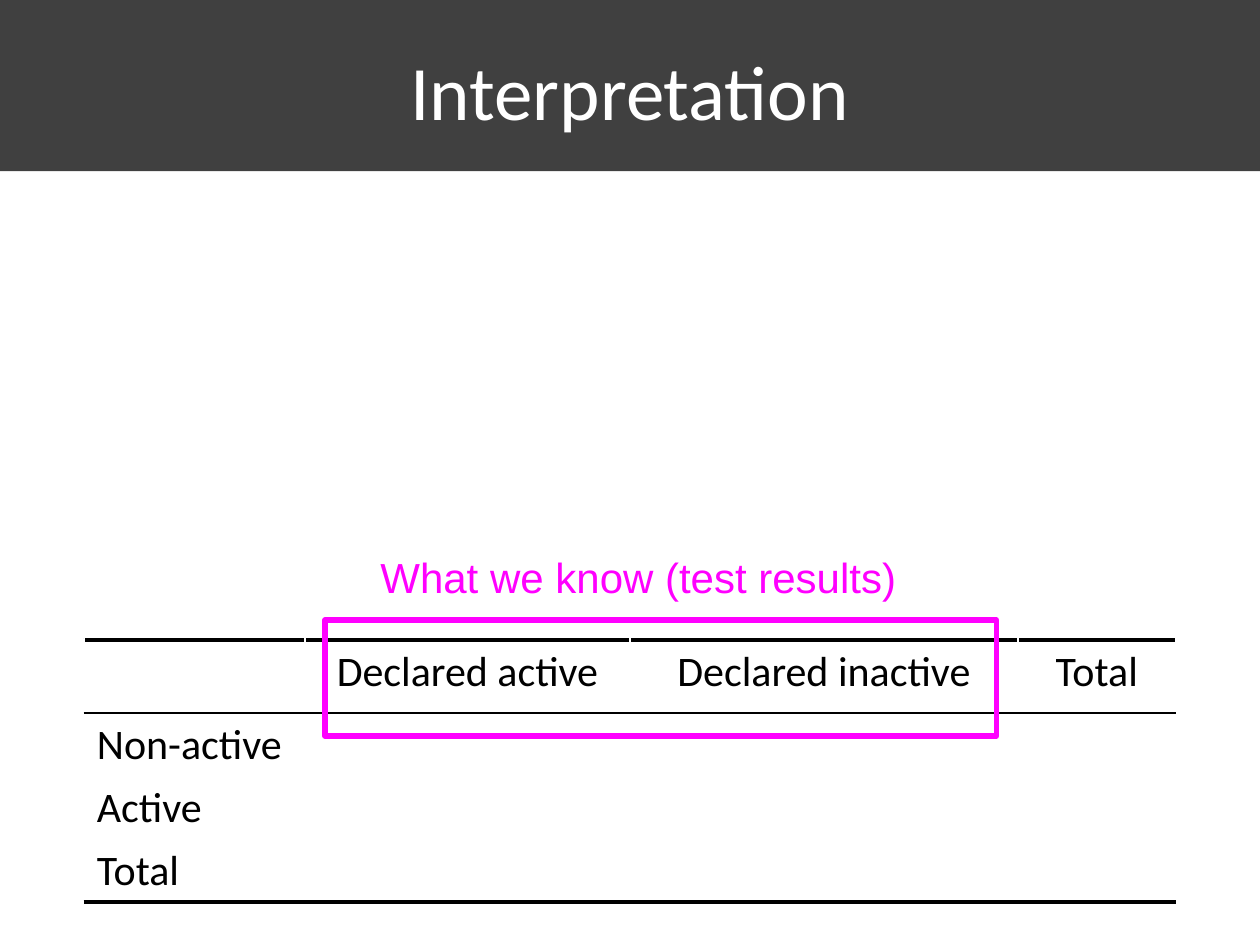
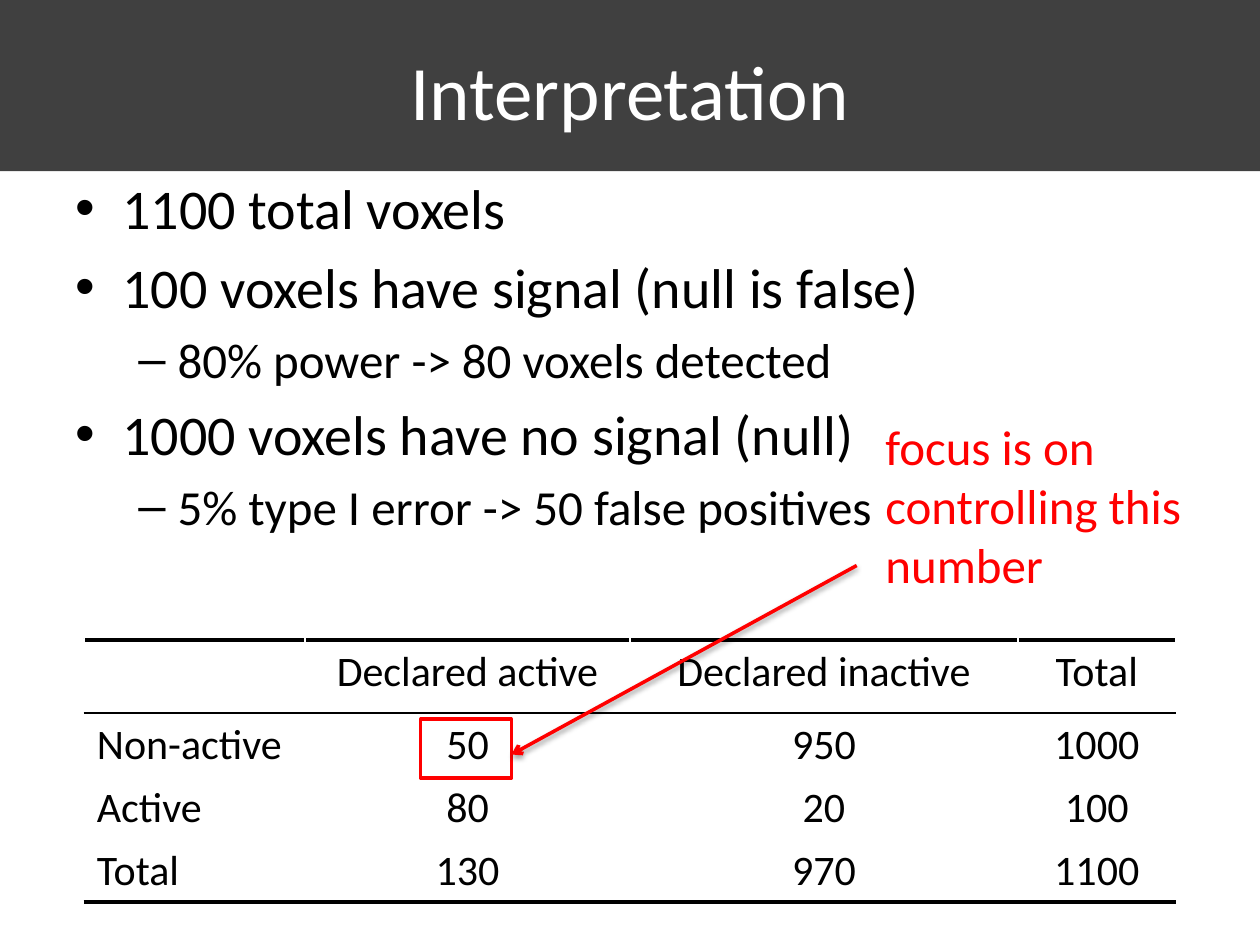
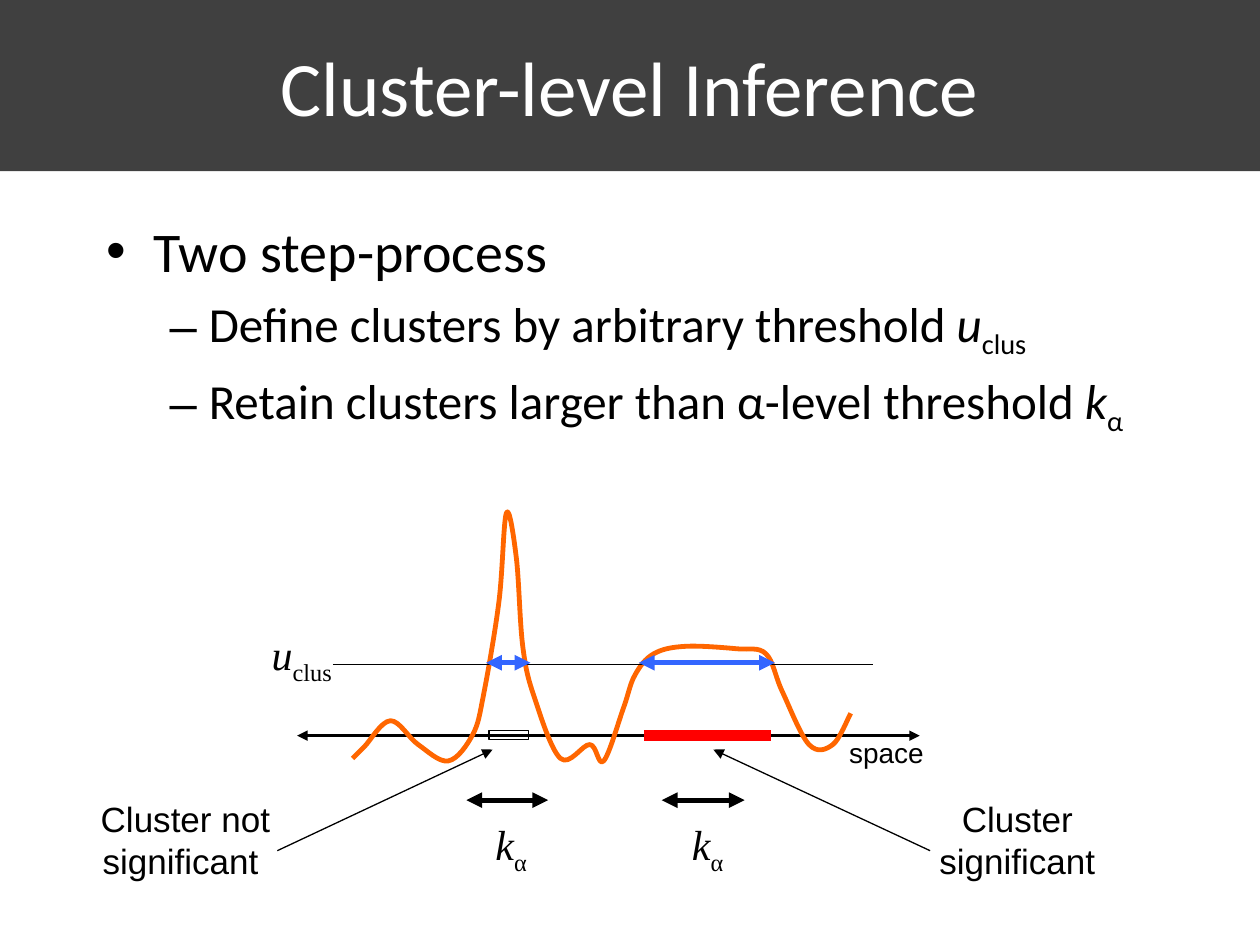
"""Build three slides on voxel test interpretation and cluster-level inference."""
from dataclasses import dataclass
from typing import Any, NamedTuple, Optional

import lxml.etree
import pptx
import pptx.dml.color
import pptx.enum.shapes
import pptx.enum.text
import pptx.oxml.ns
import pptx.util

Cm = pptx.util.Cm
Pt = pptx.util.Pt
RGB = pptx.dml.color.RGBColor
ALIGN = pptx.enum.text.PP_ALIGN
ANCHOR = pptx.enum.text.MSO_ANCHOR
SHAPE = pptx.enum.shapes.MSO_SHAPE
STRAIGHT = pptx.enum.shapes.MSO_CONNECTOR.STRAIGHT


@dataclass(frozen=True)
class Theme:
    band: RGB = RGB.from_string("404040")
    white: RGB = RGB.from_string("FFFFFF")
    black: RGB = RGB.from_string("000000")
    red: RGB = RGB.from_string("FF0000")
    magenta: RGB = RGB.from_string("FF00FF")
    blue: RGB = RGB.from_string("3366FF")
    orange: RGB = RGB.from_string("FF6600")
    body_font: str = "Calibri"
    label_font: str = "Arial"
    math_font: str = "Times New Roman"
    title_size: float = 44
    bullet_size: float = 32
    dash_size: float = 28
    table_size: float = 24
    label_size: float = 20
    axis_size: float = 16


THEME = Theme()


class Box(NamedTuple):
    left: float
    top: float
    width: float
    height: float


class Style(NamedTuple):
    font: str
    size: float
    color: RGB = THEME.black


class Piece(NamedTuple):
    text: str
    italic: bool = False
    subscript: bool = False


class Level(NamedTuple):
    mark: str
    margin: float
    hang: float
    size: float


class Item(NamedTuple):
    level: Level
    pieces: tuple[Piece, ...]


class Label(NamedTuple):
    box: Box
    pieces: tuple[Piece, ...]
    style: Style
    align: Any = ALIGN.LEFT
    anchor: Any = ANCHOR.TOP


class Line(NamedTuple):
    start: tuple[float, float]
    end: tuple[float, float]
    width: float
    color: RGB = THEME.black
    head: Optional[str] = None
    tail: Optional[str] = None
    shadow: bool = False


class Frame(NamedTuple):
    box: Box
    width: float
    color: RGB


class Rule(NamedTuple):
    color: RGB
    width: float


BULLET = Level("•", 0.95, 0.95, THEME.bullet_size)
DASH = Level("–", 2.06, 0.79, THEME.dash_size)

TABLE_BOX = Box(1.7, 12.9, 22, 5.13)
COLUMN_WIDTHS = (4.45, 6.55, 7.82, 3.18)
ROW_HEIGHTS = (1.47, 1.22, 1.22, 1.22)
COLUMN_HEADS = ("", "Declared active", "Declared inactive", "Total")
ROW_HEADS = ("Non-active", "Active", "Total")
NO_COUNTS = (("", "", ""),) * 3
VOXEL_COUNTS = (("50", "950", "1000"), ("80", "20", "100"), ("130", "970", "1100"))
GRID = Rule(THEME.white, 1)
HEAVY = Rule(THEME.black, 3)
ROW_RULES = (HEAVY, Rule(THEME.black, 1), GRID, GRID, HEAVY)

SIGNAL = (
    (7.11, 15.29), (7.34, 15.06), (7.87, 14.53), (8.43, 15.01), (9.04, 15.34),
    (9.53, 14.81), (9.75, 14), (10.06, 12.12), (10.21, 10.34), (10.41, 11.25),
    (10.54, 13.03), (10.77, 14.05), (11.3, 15.29), (11.89, 15.01), (12.17, 15.34),
    (12.57, 14.27), (12.8, 13.61), (13.18, 13.18), (13.82, 13.03), (14.86, 13.08),
    (15.44, 13.18), (15.77, 13.94), (16.31, 15.01), (16.79, 15.01), (17.15, 14.38),
)


def child(parent: Any, tag: str, **attributes: Any) -> Any:
    values = {key: str(value) for key, value in attributes.items()}
    return lxml.etree.SubElement(parent, pptx.oxml.ns.qn(tag), values)


def place(box: Box) -> tuple[Any, ...]:
    return tuple(Cm(length) for length in box)


def style_run(run: Any, style: Style) -> None:
    run.font.name = style.font
    run.font.size = Pt(style.size)
    run.font.color.rgb = style.color


def write_pieces(paragraph: Any, pieces: tuple[Piece, ...], style: Style) -> None:
    for piece in pieces:
        run = paragraph.add_run()
        run.text = piece.text
        style_run(run, style)
        run.font.italic = piece.italic
        if piece.subscript:
            run.font._element.set("baseline", "-25000")


def draw_label(slide: Any, label: Label) -> None:
    frame = slide.shapes.add_textbox(*place(label.box)).text_frame
    frame.word_wrap = True
    frame.vertical_anchor = label.anchor
    frame.paragraphs[0].alignment = label.align
    write_pieces(frame.paragraphs[0], label.pieces, label.style)


def draw_items(slide: Any, box: Box, items: tuple[Item, ...]) -> None:
    frame = slide.shapes.add_textbox(*place(box)).text_frame
    frame.word_wrap = True
    for index, (level, pieces) in enumerate(items):
        paragraph = frame.add_paragraph() if index else frame.paragraphs[0]
        write_pieces(paragraph, pieces, Style(THEME.body_font, level.size))
        layout = paragraph._p.get_or_add_pPr()
        layout.set("marL", str(Cm(level.margin)))
        layout.set("indent", str(-Cm(level.hang)))
        child(child(layout, "a:spcBef"), "a:spcPct", val=20000)
        child(layout, "a:buFont", typeface=THEME.label_font)
        child(layout, "a:buChar", char=level.mark)


def draw_frame(slide: Any, frame: Frame) -> None:
    outline = slide.shapes.add_shape(SHAPE.RECTANGLE, *place(frame.box))
    outline.shadow.inherit = False
    outline.fill.background()
    outline.line.color.rgb = frame.color
    outline.line.width = Pt(frame.width)


def draw_line(slide: Any, line: Line) -> None:
    ends = (Cm(length) for length in line.start + line.end)
    connector = slide.shapes.add_connector(STRAIGHT, *ends)
    connector.line.color.rgb = line.color
    connector.line.width = Pt(line.width)
    properties = connector._element.spPr
    stroke = properties.find(pptx.oxml.ns.qn("a:ln"))
    for tag, arrow in (("a:headEnd", line.head), ("a:tailEnd", line.tail)):
        if arrow:
            child(stroke, tag, type=arrow)
    effects = child(properties, "a:effectLst")
    if line.shadow:
        cast = child(effects, "a:outerShdw", blurRad=Pt(3.1), dist=Pt(1.6), dir=5400000, rotWithShape=0)
        child(child(cast, "a:srgbClr", val=THEME.black), "a:alpha", val=38000)


def draw_curve(slide: Any, knots: tuple[tuple[float, float], ...], color: RGB, width: float) -> None:
    points = [(Cm(x), Cm(y)) for x, y in knots]
    builder = slide.shapes.build_freeform(*points[0])
    builder.add_line_segments(points[1:], close=False)
    curve = builder.convert_to_shape()
    curve.shadow.inherit = False
    curve.fill.background()
    curve.line.color.rgb = color
    curve.line.width = Pt(width)
    local = [(int(point.get("x")), int(point.get("y"))) for point in curve._element.xpath(".//a:pt")]
    padded = [local[0], *local, local[-1]]
    segments = curve._element.xpath(".//a:lnTo")
    for segment, before, start, end, after in zip(segments, padded, padded[1:], padded[2:], padded[3:]):
        bend = lxml.etree.Element(pptx.oxml.ns.qn("a:cubicBezTo"))
        leave = [s + (e - b) // 6 for b, s, e in zip(before, start, end)]
        arrive = [e - (a - s) // 6 for s, e, a in zip(start, end, after)]
        for x, y in (leave, arrive, end):
            child(bend, "a:pt", x=x, y=y)
        segment.getparent().replace(segment, bend)


def draw_cell(cell: Any, text: str, align: Any, above: Rule, below: Rule) -> None:
    cell.text_frame.text = text
    paragraph = cell.text_frame.paragraphs[0]
    paragraph.alignment = align
    for run in paragraph.runs:
        style_run(run, Style(THEME.body_font, THEME.table_size))
    properties = cell._tc.get_or_add_tcPr()
    for side, rule in (("L", GRID), ("R", GRID), ("T", above), ("B", below)):
        border = child(properties, f"a:ln{side}", w=Pt(rule.width))
        child(child(border, "a:solidFill"), "a:srgbClr", val=rule.color)
    cell.fill.solid()
    cell.fill.fore_color.rgb = THEME.white


def draw_outcomes(slide: Any, counts: tuple[tuple[str, ...], ...]) -> None:
    rows = (COLUMN_HEADS, *((head, *values) for head, values in zip(ROW_HEADS, counts)))
    table = slide.shapes.add_table(len(rows), len(COLUMN_HEADS), *place(TABLE_BOX)).table
    table.first_row = False
    table.horz_banding = False
    for column, width in zip(table.columns, COLUMN_WIDTHS):
        column.width = Cm(width)
    for r, (texts, height) in enumerate(zip(rows, ROW_HEIGHTS)):
        table.rows[r].height = Cm(height)
        for c, text in enumerate(texts):
            align = ALIGN.CENTER if c else ALIGN.LEFT
            draw_cell(table.cell(r, c), text, align, ROW_RULES[r], ROW_RULES[r + 1])


def add_slide(deck: Any, title: str, top: float = 0.76, anchor: Any = ANCHOR.TOP) -> Any:
    slide = deck.slides.add_slide(deck.slide_layouts[6])
    band = slide.shapes.add_shape(SHAPE.RECTANGLE, *place(Box(0, 0, 25.4, 3.45)))
    band.shadow.inherit = False
    band.fill.solid()
    band.fill.fore_color.rgb = THEME.band
    band.line.fill.background()
    style = Style(THEME.body_font, THEME.title_size, THEME.white)
    draw_label(slide, Label(Box(1.27, top, 22.86, 3.18), (Piece(title),), style, ALIGN.CENTER, anchor))
    return slide


def build_known(deck: Any) -> None:
    slide = add_slide(deck, "Interpretation")
    draw_outcomes(slide, NO_COUNTS)
    draw_frame(slide, Frame(Box(6.55, 12.5, 13.54, 2.34), 3, THEME.magenta))
    style = Style(THEME.label_font, THEME.table_size, THEME.magenta)
    draw_label(slide, Label(Box(7.42, 11, 12.27, 1.3), (Piece("What we know (test results)"),), style))


def build_counts(deck: Any) -> None:
    slide = add_slide(deck, "Interpretation")
    draw_items(slide, Box(1.27, 3.38, 22.86, 12.57), (
        Item(BULLET, (Piece("1100 total voxels"),)),
        Item(BULLET, (Piece("100 voxels have signal (null is false)"),)),
        Item(DASH, (Piece("80% power -> 80 voxels detected"),)),
        Item(BULLET, (Piece("1000 voxels have no signal (null)"),)),
        Item(DASH, (Piece("5% type I error -> 50 false positives"),)),
    ))
    draw_outcomes(slide, VOXEL_COUNTS)
    draw_frame(slide, Frame(Box(8.48, 14.5, 1.83, 1.19), 2, THEME.red))
    style = Style(THEME.body_font, THEME.dash_size, THEME.red)
    focus = (Piece("focus is on controlling this number"),)
    draw_label(slide, Label(Box(17.6, 8.28, 8.05, 3.84), focus, style))
    draw_line(slide, Line((17.27, 11.4), (10.31, 15.21), 2, THEME.red, tail="arrow", shadow=True))


def build_clusters(deck: Any) -> None:
    slide = add_slide(deck, "Cluster-level Inference", 0.13, ANCHOR.MIDDLE)
    height_threshold = (Piece("u", italic=True), Piece("clus", subscript=True))
    size_threshold = (Piece("k", italic=True), Piece("α", subscript=True))
    draw_items(slide, Box(1.9, 4.24, 21.59, 6.88), (
        Item(BULLET, (Piece("Two step-process"),)),
        Item(DASH, (Piece("Define clusters by arbitrary threshold "), *height_threshold)),
        Item(DASH, (Piece("Retain clusters larger than α-level threshold "), *size_threshold)),
    ))
    both = {"head": "triangle", "tail": "triangle"}
    draw_line(slide, Line((5.59, 17.15), (9.93, 15.11), 0.75, tail="triangle"))
    draw_line(slide, Line((5.99, 14.83), (18.54, 14.83), 1.75, **both))
    draw_curve(slide, SIGNAL, THEME.orange, 2.75)
    for line in (
        Line((6.71, 13.39), (17.6, 13.39), 0.75),
        Line((10.69, 13.36), (9.8, 13.36), 3, THEME.blue, **both),
        Line((15.62, 13.36), (12.88, 13.36), 3, THEME.blue, **both),
        Line((18.75, 17.15), (14.38, 15.11), 0.75, tail="triangle"),
        Line((9.4, 16.13), (11.05, 16.13), 3, **both),
        Line((13.34, 16.13), (15.01, 16.13), 3, **both),
        Line((12.98, 14.83), (15.54, 14.83), 6, THEME.red),
    ):
        draw_line(slide, line)
    draw_frame(slide, Frame(Box(9.86, 14.73, 0.79, 0.18), 0.75, THEME.black))
    verdict = Style(THEME.label_font, THEME.label_size)
    symbol = Style(THEME.math_font, THEME.table_size)
    axis = Style(THEME.label_font, THEME.axis_size)
    for label in (
        Label(Box(0.91, 15.95, 5.66, 1.96), (Piece("Cluster not significant "),), verdict, ALIGN.CENTER),
        Label(Box(17.68, 15.95, 5.66, 1.96), (Piece("Cluster significant"),), verdict, ALIGN.CENTER),
        Label(Box(5.03, 12.55, 2.11, 1.27), height_threshold, symbol, ALIGN.CENTER),
        Label(Box(9.25, 16.38, 2.11, 1.27), size_threshold, symbol, ALIGN.CENTER),
        Label(Box(13.21, 16.38, 2.11, 1.27), size_threshold, symbol, ALIGN.CENTER),
        Label(Box(16.87, 14.71, 3.45, 0.94), (Piece("space"),), axis),
    ):
        draw_label(slide, label)


def main() -> None:
    deck = pptx.Presentation()
    deck.slide_width = Cm(25.4)
    deck.slide_height = Cm(19.05)
    build_known(deck)
    build_counts(deck)
    build_clusters(deck)
    deck.save("out.pptx")


if __name__ == "__main__":
    main()
